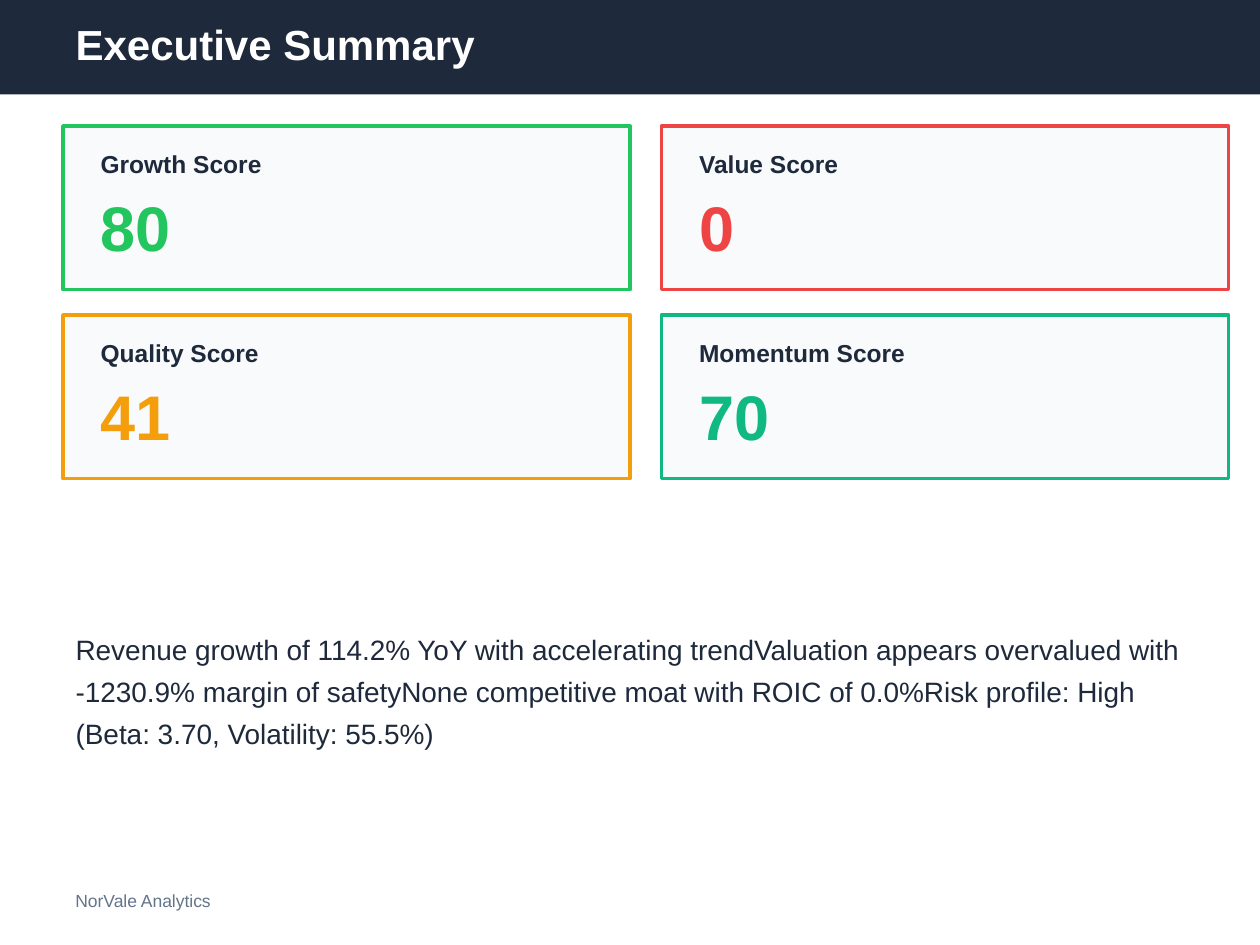
import pptx
import pptx.util
import pptx.dml.color
import pptx.enum.shapes
import pptx.enum.text
import lxml.etree

INK, PALE, GREY, WHITE = "1E293B", "F8FAFC", "64748B", "FFFFFF"

deck = pptx.Presentation()
deck.slide_width = pptx.util.Inches(10)
deck.slide_height = pptx.util.Inches(7.5)
slide = deck.slides.add_slide(deck.slide_layouts[1])
shapes = slide.shapes

# Grid: 200 columns and 150 rows
col = deck.slide_width // 200
row = deck.slide_height // 150


def paint(format, hue):
    """Give a fill, or a font, one solid colour."""
    if hasattr(format, "solid"):
        format.solid()
        format.fore_color.rgb = pptx.dml.color.RGBColor.from_string(hue)
    else:
        format.color.rgb = pptx.dml.color.RGBColor.from_string(hue)


def write(box, area, text, size, hue, bold=False):
    """Place a box on the grid and set its one line of text."""
    x, y, w, h = area
    box.left, box.top, box.width, box.height = x * col, y * row, w * col, h * row
    frame = box.text_frame
    frame.text = text
    frame.word_wrap = True
    frame.auto_size = pptx.enum.text.MSO_AUTO_SIZE.NONE
    frame.vertical_anchor = pptx.enum.text.MSO_ANCHOR.MIDDLE
    line = frame.paragraphs[0]
    line.alignment = pptx.enum.text.PP_ALIGN.LEFT
    line.space_before = pptx.util.Pt(0)
    font = line.runs[0].font
    font.name, font.size, font.bold = "Arial", pptx.util.Pt(size), bold
    paint(font, hue)


# Header bar, behind the title
title, body = shapes.title, slide.placeholders[1]
bar = shapes.add_shape(pptx.enum.shapes.MSO_SHAPE.RECTANGLE, 0, 0, 200 * col, 15 * row)
bar.shadow.inherit = False
paint(bar.fill, INK)
bar.line.fill.background()
title._element.addprevious(bar._element)
write(title, (10, 2, 180, 10), "Executive Summary", 24, WHITE, True)

# Score cards, two by two
cards = [
    ("Growth Score", "80", "22C55E"),
    ("Value Score", "0", "EF4444"),
    ("Quality Score", "41", "F59E0B"),
    ("Momentum Score", "70", "10B981"),
]
for i, (name, score, hue) in enumerate(cards):
    x, y = 10 + i % 2 * 95, 20 + i // 2 * 30
    card = shapes.add_shape(
        pptx.enum.shapes.MSO_SHAPE.RECTANGLE, x * col, y * row, 90 * col, 26 * row)
    card.shadow.inherit = False
    paint(card.fill, PALE)
    paint(card.line.fill, hue)
    card.line.width = pptx.util.Pt(2)
    write(shapes.add_textbox(0, 0, 0, 0), (x + 4, y + 2, 82, 8), name, 14, INK, True)
    write(shapes.add_textbox(0, 0, 0, 0), (x + 4, y + 10, 82, 12), score, 36, hue, True)

# Summary text, without bullet or indent
write(body, (10, 84, 180, 50),
      "Revenue growth of 114.2% YoY with accelerating trend"
      "Valuation appears overvalued with -1230.9% margin of safety"
      "None competitive moat with ROIC of 0.0%"
      "Risk profile: High (Beta: 3.70, Volatility: 55.5%)", 16, INK)
para = body.text_frame.paragraphs[0]
para.line_spacing = pptx.util.Pt(24)
props = para._p.get_or_add_pPr()
props.set("marL", "0")
props.set("indent", "0")
lxml.etree.SubElement(props, pptx.oxml.ns.qn("a:buNone"))

# Footer
write(shapes.add_textbox(0, 0, 0, 0), (10, 140, 40, 6), "NorVale Analytics", 10, GREY)

deck.save("out.pptx")
